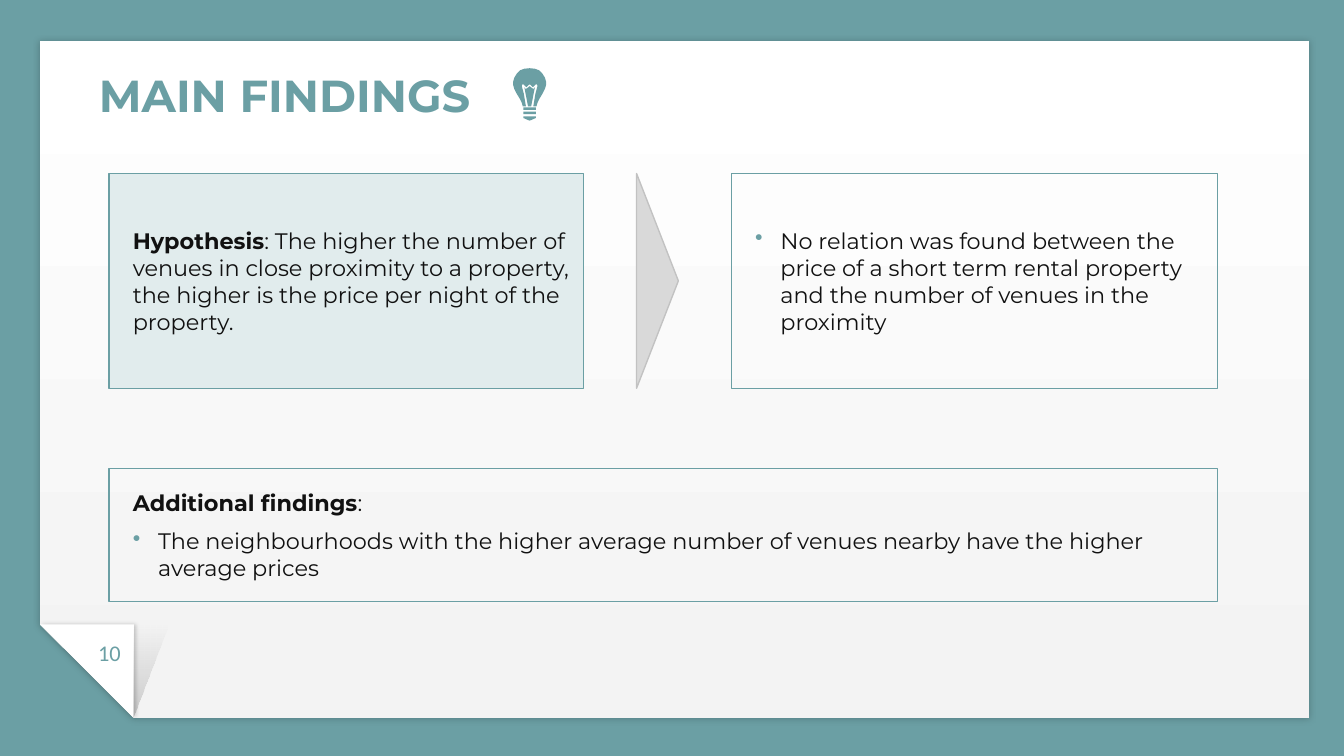
from dataclasses import dataclass

from lxml import etree
from pptx import Presentation
from pptx.dml.color import RGBColor
from pptx.enum.shapes import MSO_SHAPE
from pptx.enum.text import MSO_ANCHOR, MSO_AUTO_SIZE, PP_ALIGN
from pptx.oxml.ns import qn
from pptx.util import Cm, Pt

RECTANGLE = MSO_SHAPE.RECTANGLE
SNIPPED_PAGE = MSO_SHAPE.SNIP_1_RECTANGLE
RIGHT_TRIANGLE = MSO_SHAPE.RIGHT_TRIANGLE
TRIANGLE = MSO_SHAPE.ISOSCELES_TRIANGLE
MIDDLE = MSO_ANCHOR.MIDDLE
LEFT, CENTER = PP_ALIGN.LEFT, PP_ALIGN.CENTER


@dataclass(frozen=True)
class Theme:
    teal: RGBColor = RGBColor(0x6B, 0x9F, 0xA4)
    pale_teal: RGBColor = RGBColor(0xE1, 0xEC, 0xED)
    ink: RGBColor = RGBColor(0x11, 0x11, 0x11)
    white: RGBColor = RGBColor(0xFF, 0xFF, 0xFF)
    black: RGBColor = RGBColor(0, 0, 0)
    page_grey: RGBColor = RGBColor(0xF3, 0xF3, 0xF3)
    arrow_fill: RGBColor = RGBColor(0xD9, 0xD9, 0xD9)
    arrow_line: RGBColor = RGBColor(0xC2, 0xC2, 0xC2)
    font: str = "Montserrat"
    number_font: str = "Calibri"
    title_size: Pt = Pt(24)
    body_size: Pt = Pt(12)
    line: Pt = Pt(0.75)


theme = Theme()


def add_shadow(shape, blur, degrees):
    effects = shape._element.spPr.find(qn("a:effectLst"))
    shadow = etree.SubElement(effects, qn("a:outerShdw"), blurRad=str(Pt(blur)),
                              dist=str(Pt(0.8)), dir=str(degrees * 60000))
    color = etree.SubElement(shadow, qn("a:srgbClr"), val=str(theme.black))
    etree.SubElement(color, qn("a:alpha"), val="20000")


def write_finding(paragraph, lead, statement, bulleted):
    paragraph.text = lead
    paragraph.add_run().text = statement
    paragraph.alignment = LEFT
    paragraph.space_before = Pt(6)
    for run in paragraph.runs:
        run.font.name = theme.font
        run.font.size = theme.body_size
        run.font.color.rgb = theme.ink
        run.font.bold = run.text == lead
    properties = paragraph._p.get_or_add_pPr()
    properties.set("marL", str(Cm(0.68 if bulleted else 0.2)))
    properties.set("indent", str(Cm(-0.48 if bulleted else 0)))
    if bulleted:
        bullet_color = etree.SubElement(properties, qn("a:buClr"))
        etree.SubElement(bullet_color, qn("a:srgbClr"), val=str(theme.teal))
        etree.SubElement(properties, qn("a:buChar"), char="•")


prs = Presentation()
prs.slide_width, prs.slide_height = Cm(25.4), Cm(14.29)
slide = prs.slides.add_slide(prs.slide_layouts[5])
shapes = slide.shapes
slide.background.fill.solid()
slide.background.fill.fore_color.rgb = theme.teal

# Page with a folded corner
page = shapes.add_shape(SNIPPED_PAGE, Cm(0.76), Cm(0.77), Cm(23.98), Cm(12.8))
page.adjustments[0] = 0.138
page.fill.gradient()
page.fill.gradient_angle = 90
for stop, color in zip(page.fill.gradient_stops, (theme.white, theme.page_grey)):
    stop.color.rgb = color

fold = shapes.add_shape(RIGHT_TRIANGLE, Cm(0.76), Cm(11.8), Cm(1.77), Cm(1.77))
fold.fill.solid()
fold.fill.fore_color.rgb = theme.white

fold_shade = shapes.add_shape(RIGHT_TRIANGLE, Cm(2.52), Cm(11.8), Cm(0.66), Cm(1.77))
fold_shade._element.spPr.get_or_add_xfrm().set("flipH", "1")
fold_shade.fill.gradient()
fold_shade.fill.gradient_angle = 270
for stop, alpha in zip(fold_shade.fill.gradient_stops, ("17000", "0")):
    stop.color.rgb = theme.black
for color, alpha in zip(fold_shade._element.spPr.iter(qn("a:srgbClr")), ("17000", "0")):
    etree.SubElement(color, qn("a:alpha"), val=alpha)

for part in (page, fold, fold_shade):
    part.rotation = 180
    part.line.fill.background()
    part.shadow.inherit = False
add_shadow(page, 3.4, 90)
add_shadow(fold, 2.2, 0)

# Page number
page_number = shapes.add_textbox(Cm(1.42), Cm(11.84), Cm(1.3), Cm(0.86))
number_frame = page_number.text_frame
number_frame.word_wrap = True
number_frame.margin_top = number_frame.margin_bottom = Cm(0.25)
number_frame.text = "10"
number_frame.paragraphs[0].alignment = CENTER
number_font = number_frame.paragraphs[0].runs[0].font
number_font.name, number_font.size = theme.number_font, theme.body_size
number_font.color.rgb = theme.teal

# Title, brought in front of the page
title = shapes.title
title._element.getparent().append(title._element)
title.left, title.top, title.width, title.height = Cm(1.42), Cm(1.07), Cm(22.35), Cm(1.42)
title_frame = title.text_frame
title_frame.text = "MAIN FINDINGS"
title_frame.auto_size = MSO_AUTO_SIZE.NONE
title_frame.vertical_anchor = MIDDLE
title_frame.margin_left = Cm(0.45)
heading = title_frame.paragraphs[0]
heading.alignment = LEFT
title_font = heading.runs[0].font
title_font.name, title_font.size, title_font.bold = theme.font, theme.title_size, True
title_font.color.rgb = theme.teal

# Light bulb: right halves in hundredths of a centimetre, mirrored on the axis
glass = [(0, 0), (10, 1), (18, 4), (24, 10), (29, 18), (31, 25), (31, 32),
         (29, 39), (25, 47), (19, 57), (15, 65), (13, 72), (7, 72), (11, 48),
         (15, 33), (13, 30), (11, 31), (6, 36), (1, 31), (0, 31)]
filament = [(0, 34), (5, 38), (8, 39), (10, 36), (3, 72)]
rings = [[(0, y), (12, y), (12, y + 5), (0, y + 5)] for y in (74, 82)]
base = [(0, 91), (12, 91), (12, 94), (3, 98), (0, 99)]
bulb = shapes.add_group_shape()
for half in (glass, filament, *rings, base):
    outline = half + [(-x, y) for x, y in reversed(half)]
    builder = bulb.shapes.build_freeform(*outline[0], scale=Cm(0.01))
    builder.add_line_segments(outline[1:], close=True)
    bulb_part = builder.convert_to_shape(Cm(10.01), Cm(1.29))
    bulb_part.fill.solid()
    bulb_part.fill.fore_color.rgb = theme.teal
    bulb_part.line.fill.background()
    bulb_part.shadow.inherit = False

# Boxes: left, top, width, height, fill, vertical margin, paragraphs
left_edge, right_edge = 2.06, 23.01
row_top, row_height = 3.28, 4.06
hypothesis_width, result_left = 8.97, 13.82
boxes = [
    (left_edge, row_top, hypothesis_width, row_height, theme.pale_teal, 0.13, [
        ("Hypothesis", ": The higher the number of venues in close proximity to a "
         "property, the higher is the price per night of the property.", False)]),
    (result_left, row_top, right_edge - result_left, row_height, None, 0.13, [
        ("", "No relation was found between the price of a short term rental "
         "property and the number of venues in the proximity", True)]),
    (left_edge, 8.86, right_edge - left_edge, 2.51, None, 0.25, [
        ("Additional findings", ":", False),
        ("", "The neighbourhoods with the higher average number of venues nearby "
         "have the higher average prices", True)]),
]
for left, top, width, height, fill, margin, findings in boxes:
    box = shapes.add_shape(RECTANGLE, Cm(left), Cm(top), Cm(width), Cm(height))
    box.shadow.inherit = False
    box.line.color.rgb = theme.teal
    box.line.width = theme.line
    if fill is None:
        box.fill.background()
    else:
        box.fill.solid()
        box.fill.fore_color.rgb = fill
    frame = box.text_frame
    frame.word_wrap = True
    frame.vertical_anchor = MIDDLE
    frame.margin_top = frame.margin_bottom = Cm(margin)
    for index, finding in enumerate(findings):
        write_finding(frame.add_paragraph() if index else frame.paragraphs[0], *finding)

# Arrow centred in the gap between hypothesis and result
arrow_depth = 0.79
gap_middle = (left_edge + hypothesis_width + result_left) / 2
arrow = shapes.add_shape(TRIANGLE, Cm(gap_middle - row_height / 2),
                         Cm(row_top + (row_height - arrow_depth) / 2),
                         Cm(row_height), Cm(arrow_depth))
arrow.rotation = 90
arrow.shadow.inherit = False
arrow.fill.solid()
arrow.fill.fore_color.rgb = theme.arrow_fill
arrow.line.color.rgb = theme.arrow_line
arrow.line.width = theme.line

prs.save("out.pptx")
